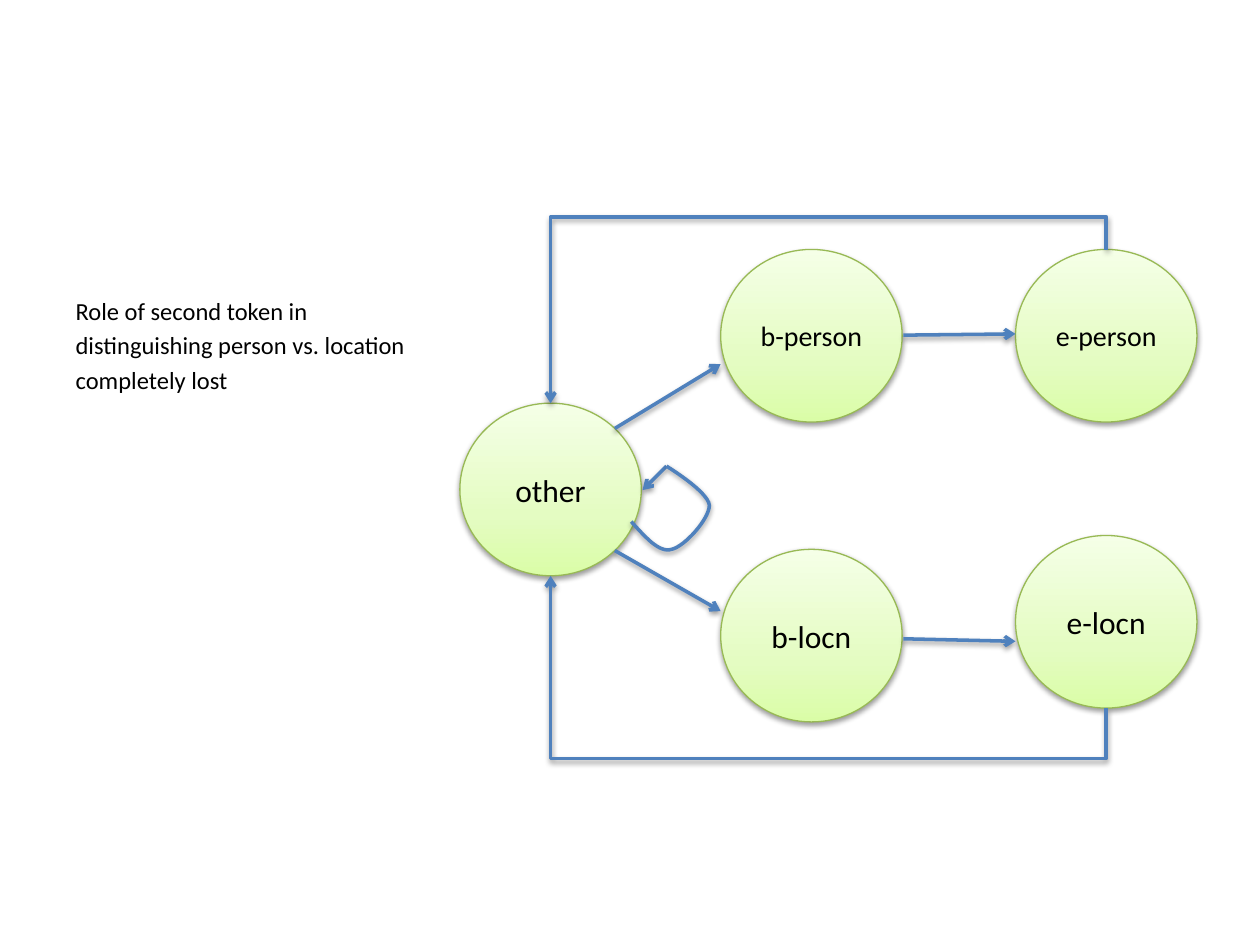
from dataclasses import dataclass

from lxml.etree import SubElement
from pptx import Presentation
from pptx.dml.color import RGBColor
from pptx.enum.shapes import MSO_CONNECTOR as Link, MSO_SHAPE as Preset
from pptx.enum.text import MSO_ANCHOR as Anchor, PP_ALIGN as Align
from pptx.oxml.ns import qn
from pptx.util import Emu, Inches, Pt

Point = tuple[float, float]


@dataclass(frozen=True)
class Theme:
    """Colours, type sizes and line widths of the slide."""
    font: str = "Calibri"
    ink: str = "000000"
    link: str = "4F81BD"
    outline: str = "98B955"
    gradient: tuple = ((0, "DAFDA7"), (35, "E4FCC2"), (100, "F5FFE7"))
    note_size: float = 14
    link_width: float = 2
    outline_width: float = 0.75


@dataclass(frozen=True)
class State:
    """One state of the tagger, placed by its left column and its top."""
    label: str
    left: float
    top: float
    size: float


@dataclass(frozen=True)
class Return:
    """A path back to the first state, running level at the height via."""
    start: Point
    end: Point
    via: float


THEME = Theme()
STATE_W, STATE_H = 1.44, 1.37
OTHER, BEGIN, END = 3.65, 5.72, 8.06
PERSON_TOP, OTHER_TOP, LOCN_TOP, LOCN_END_TOP = 1.98, 3.2, 4.36, 4.25
OTHER_MID, END_MID = OTHER + STATE_W / 2, END + STATE_W / 2

STATES = [
    State("other", OTHER, OTHER_TOP, 18),
    State("b-locn", BEGIN, LOCN_TOP, 18),
    State("e-locn", END, LOCN_END_TOP, 18),
    State("b-person", BEGIN, PERSON_TOP, 16),
    State("e-person", END, PERSON_TOP, 16),
]
LOOP_TIP = (5.29, 3.7)
ARROWS = [
    ((4.88, 3.4), (BEGIN, 2.89)),
    ((7.17, 2.66), (END, 2.65)),
    ((4.88, 4.37), (BEGIN, 4.85)),
    ((7.17, 5.07), (END, 5.09)),
    (LOOP_TIP, (5.1, 3.89)),
]
RETURNS = [
    Return((END_MID, LOCN_END_TOP + STATE_H), (OTHER_MID, OTHER_TOP + STATE_H), 6.02),
    Return((END_MID, PERSON_TOP), (OTHER_MID, OTHER_TOP), 1.72),
]
LOOP = [
    ((5.01, 4.14), (5.12, 4.26), (5.23, 4.39), (5.33, 4.36)),
    ((5.33, 4.36), (5.43, 4.34), (5.63, 4.12), (5.63, 4.01)),
    ((5.63, 4.01), (5.62, 3.9), LOOP_TIP, LOOP_TIP),
]
NOTE = ["Role of second token in", "distinguishing person vs. location",
        "completely lost"]


def style_text(paragraph, size: float) -> None:
    """Give every run of a paragraph the theme's font and ink."""
    for run in paragraph.runs:
        run.font.name = THEME.font
        run.font.size = Pt(size)
        run.font.color.rgb = RGBColor.from_string(THEME.ink)


def add_shadow(shape) -> None:
    """Put a soft shadow just below a shape or connector."""
    effects = SubElement(shape._element.spPr, qn("a:effectLst"))
    shadow = SubElement(effects, qn("a:outerShdw"), blurRad=str(Pt(3.1)),
                        dist=str(Pt(1.6)), dir="5400000", rotWithShape="0")
    color = SubElement(shadow, qn("a:srgbClr"), val=THEME.ink)
    SubElement(color, qn("a:alpha"), val="38000")


def style_link(shape, arrow: bool = True) -> None:
    """Draw a line in the link colour, with an arrowhead if wanted."""
    shape.line.color.rgb = RGBColor.from_string(THEME.link)
    shape.line.width = Pt(THEME.link_width)
    if arrow:
        SubElement(shape.line._get_or_add_ln(), qn("a:tailEnd"), type="arrow")
    add_shadow(shape)


def add_note(slide) -> None:
    """Write the remark into the body placeholder, without bullets."""
    slide.shapes.title._element.getparent().remove(slide.shapes.title._element)
    body = slide.placeholders[1]
    body.left, body.top = Inches(0.5), Inches(1.75)
    body.width, body.height = Inches(9), Inches(4.95)
    frame = body.text_frame
    frame.margin_top = Inches(0.6)
    frame.text = "\n".join(NOTE)
    for index, paragraph in enumerate(frame.paragraphs):
        paragraph.space_before = Pt(0.2 * THEME.note_size if index else 0)
        properties = paragraph._p.get_or_add_pPr()
        properties.set("marL", "0")
        properties.set("indent", "0")
        SubElement(properties, qn("a:buNone"))
        style_text(paragraph, THEME.note_size)


def add_state(slide, state: State) -> None:
    """Draw a state as a shaded ellipse with its label."""
    ellipse = slide.shapes.add_shape(
        Preset.OVAL, Inches(state.left), Inches(state.top),
        Inches(STATE_W), Inches(STATE_H))
    ellipse.fill.gradient()
    ellipse.fill.gradient_angle = 90
    stops = ellipse._element.spPr.find(qn("a:gradFill")).find(qn("a:gsLst"))
    for stop in list(stops):
        stops.remove(stop)
    for share, color in THEME.gradient:
        stop = SubElement(stops, qn("a:gs"), pos=str(share * 1000))
        SubElement(stop, qn("a:srgbClr"), val=color)
    ellipse.line.color.rgb = RGBColor.from_string(THEME.outline)
    ellipse.line.width = Pt(THEME.outline_width)
    add_shadow(ellipse)
    frame = ellipse.text_frame
    frame.text = state.label
    frame.vertical_anchor = Anchor.MIDDLE
    frame.paragraphs[0].alignment = Align.CENTER
    style_text(frame.paragraphs[0], state.size)


def add_arrow(slide, start: Point, end: Point) -> None:
    """Draw a straight arrow."""
    style_link(slide.shapes.add_connector(
        Link.STRAIGHT, *(Inches(v) for v in (*start, *end))))


def add_return(slide, path: Return) -> None:
    """Draw an elbow arrow that leaves and arrives vertically."""
    (x1, y1), (x2, y2) = path.start, path.end
    mid_x, mid_y = (x1 + x2) / 2, (y1 + y2) / 2
    half_w, half_h = abs(y2 - y1) / 2, abs(x2 - x1) / 2
    upward = y2 < y1
    top, bottom = mid_y - half_h, mid_y + half_h
    begin_y, end_y = (top, bottom) if upward else (bottom, top)
    elbow = slide.shapes.add_connector(
        Link.ELBOW, Inches(mid_x + half_w), Inches(begin_y),
        Inches(mid_x - half_w), Inches(end_y))
    properties = elbow._element.spPr
    properties.find(qn("a:xfrm")).set("rot", "5400000" if upward else "16200000")
    bend = round((path.via - y1) / (y2 - y1) * 100000)
    guides = properties.find(qn("a:prstGeom")).get_or_add_avLst()
    SubElement(guides, qn("a:gd"), name="adj1", fmla=f"val {bend}")
    style_link(elbow)


def curve_point(curve: tuple, t: float) -> Point:
    """Return the point at share t of a cubic curve."""
    weights = ((1 - t) ** 3, 3 * t * (1 - t) ** 2, 3 * t * t * (1 - t), t ** 3)
    x, y = (sum(w * p[axis] for w, p in zip(weights, curve)) for axis in (0, 1))
    return x, y


def add_loop(slide, steps: int = 16) -> None:
    """Draw the curved path from the first state back to itself."""
    points = [tuple(Inches(v) for v in curve_point(curve, step / steps))
              for curve in LOOP for step in range(1, steps + 1)]
    start_x, start_y = LOOP[0][0]
    builder = slide.shapes.build_freeform(Inches(start_x), Inches(start_y), Emu(1))
    builder.add_line_segments(points, close=False)
    loop = builder.convert_to_shape()
    loop.fill.background()
    style_link(loop, arrow=False)


def main() -> None:
    """Build the slide and save it."""
    deck = Presentation()
    deck.slide_width, deck.slide_height = Inches(10), Inches(7.5)
    slide = deck.slides.add_slide(deck.slide_layouts[1])
    add_note(slide)
    for state in STATES:
        add_state(slide, state)
    for start, end in ARROWS:
        add_arrow(slide, start, end)
    for path in RETURNS:
        add_return(slide, path)
    add_loop(slide)
    deck.save("out.pptx")


main()
